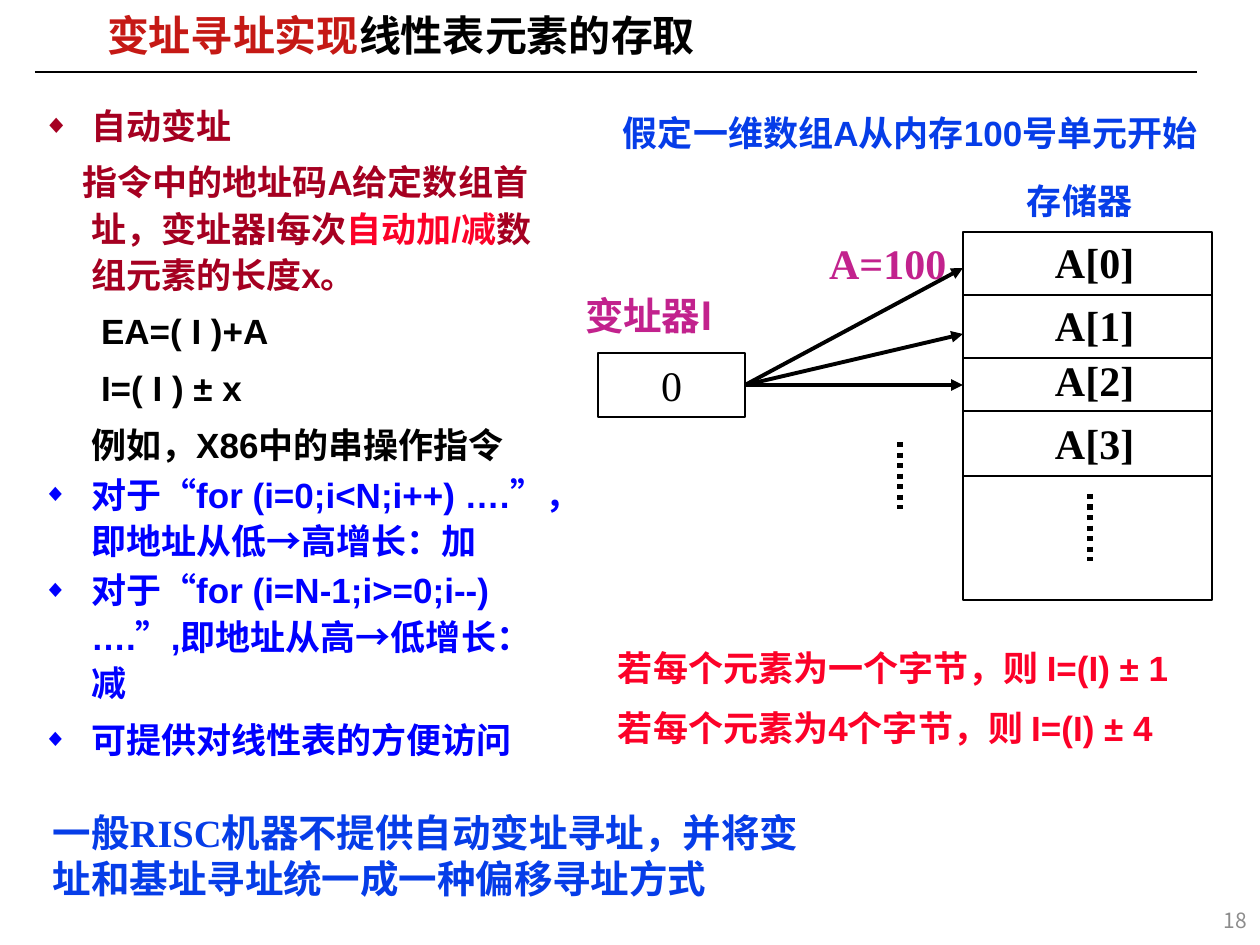
from lxml import etree
from pptx import Presentation
from pptx import util as u
from pptx.dml.color import RGBColor
from pptx.enum import dml, shapes, text
from pptx.oxml.ns import qn

SCALE = 914400 / 126
HUES = {
    "black": "000000", "white": "FFFFFF", "brick": "C51915", "wine": "A50021",
    "red": "FC0128", "blue": "0000FF", "azure": "063DE8", "pink": "C2228D",
    "gray": "8C8C8C",
}
SANS, SERIF, HAN = "Arial", "Times New Roman", "Noto Sans CJK SC"
SLIM, WIDE = (9, 4), (13, 6)


def px(n):
    return u.Emu(round(n * SCALE))


def hue(name):
    return RGBColor.from_string(HUES[name])


def sub(node, tag, **attrs):
    return etree.SubElement(node, qn(tag), attrs)


def style(par, size, face, color, bold=True):
    font = par.font
    font.size, font.name, font.bold = u.Pt(size), face, bold
    font.color.rgb = hue(color)
    sub(par._p.pPr.find(qn("a:defRPr")), "a:ea", typeface=HAN)


def add_run(par, words, color=None, face=None):
    run = par.add_run()
    run.text = words
    if color:
        run.font.color.rgb = hue(color)
    if face:
        run.font.name = face


def set_frame(shape, pad, anchor=text.MSO_ANCHOR.TOP):
    frame = shape.text_frame
    frame.word_wrap = True
    frame.auto_size = text.MSO_AUTO_SIZE.NONE
    frame.vertical_anchor = anchor
    frame.margin_left = frame.margin_right = px(pad[0])
    frame.margin_top = frame.margin_bottom = px(pad[1])
    return frame


def place(shape, x, y, w, h):
    shape.left, shape.top, shape.width, shape.height = map(px, (x, y, w, h))


def add_text(slide, box, lines, size, face, color, pad=WIDE, bold=True,
             anchor=text.MSO_ANCHOR.TOP, align=text.PP_ALIGN.LEFT):
    frame = set_frame(slide.shapes.add_textbox(*map(px, box)), pad, anchor)
    for i, words in enumerate(lines):
        par = frame.add_paragraph() if i else frame.paragraphs[0]
        par.alignment = align
        if i:
            par.space_before = u.Pt(size / 2)
        add_run(par, words)
        style(par, size, face, color, bold)
    return frame


def add_line(slide, start, end, width, arrow=False, dots=False):
    line = slide.shapes.add_connector(
        shapes.MSO_CONNECTOR.STRAIGHT, *map(px, start + end))
    line.line.color.rgb = hue("black")
    line.line.width = u.Pt(width)
    if dots:
        line.line.dash_style = dml.MSO_LINE.ROUND_DOT
    if arrow:
        sub(line.line._get_or_add_ln(), "a:tailEnd", type="triangle")
    sub(line._element.spPr, "a:effectLst")
    return line


def add_rect(slide, box, fill=None):
    rect = slide.shapes.add_shape(shapes.MSO_SHAPE.RECTANGLE, *map(px, box))
    rect.shadow.inherit = False
    if fill:
        rect.fill.solid()
        rect.fill.fore_color.rgb = hue(fill)
    else:
        rect.fill.background()
    rect.line.color.rgb = hue("black")
    rect.line.width = u.Pt(0.75)
    return rect


def add_title(slide):
    title = slide.shapes.title
    place(title, 98, 13, 781, 50)
    par = set_frame(title, SLIM, text.MSO_ANCHOR.MIDDLE).paragraphs[0]
    par.alignment = text.PP_ALIGN.LEFT
    par.line_spacing = 0.87
    add_run(par, "变址寻址实现", "brick")
    add_run(par, "线性表元素的存取")
    style(par, 24, SANS, "black")


def add_body(slide):
    body = slide.placeholders[1]
    place(body, 30, 94, 543, 781)
    frame = set_frame(body, WIDE)
    items = [
        ("wine", 75, -48, 6, ["自动变址"]),
        ("wine", 0, -9, 6, ["指令中的地址码A给定数组首址，变址器I每次",
                            "自动加/减", "数组元素的长度x。"]),
        ("black", 0, 10, 6, ["EA=( I )+A"]),
        ("black", 0, 10, 6, ["I=( I ) ± x"]),
        ("black", 0, 0, 6, ["例如，X86中的串操作指令"]),
        ("blue", 70, -48, 2, ["对于“for (i=0;i<N;i++) ….”，即地址从低→高增长：加"]),
        ("blue", 70, -48, 2, ["对于“for (i=N-1;i>=0;i--) ….”,即地址从高→低增长：减"]),
        ("blue", 70, -48, 6, ["可提供对线性表的方便访问"]),
    ]
    for i, (color, mark, indent, gap, parts) in enumerate(items):
        par = frame.add_paragraph() if i else frame.paragraphs[0]
        par.line_spacing = 1.1
        par.space_before = u.Pt(gap if i else 0)
        props = par._p.get_or_add_pPr()
        props.set("marL", str(px(48)))
        props.set("indent", str(px(indent)))
        if mark:
            sub(props, "a:buSzPct", val=str(mark * 1000))
            sub(props, "a:buChar", char="◆")
        else:
            sub(props, "a:buNone")
        for j, words in enumerate(parts):
            add_run(par, words, "red" if j == 1 else None)
        style(par, 20, SANS, color)


def add_index(slide):
    add_text(slide, (572, 286, 173, 59), ["变址器I"], 22, HAN, "pink")
    add_text(slide, (816, 232, 146, 63), ["A=100"], 24, SERIF, "pink")
    rect = add_rect(slide, (598, 353, 147, 64), "white")
    par = set_frame(rect, WIDE, text.MSO_ANCHOR.MIDDLE).paragraphs[0]
    par.alignment = text.PP_ALIGN.CENTER
    add_run(par, "0")
    style(par, 24, SERIF, "black", False)
    for y in (334, 268, 385):
        line = add_line(slide, (745, 385), (963, y), 2.25, arrow=True)
        line.begin_connect(rect, 3)
    add_line(slide, (900, 442), (900, 509), 3, dots=True)


def add_store(slide):
    add_text(slide, (1018, 176, 198, 49), ["存储器"], 20, SANS, "azure", SLIM)
    add_rect(slide, (963, 232, 249, 368))
    for y in (295, 358, 411, 476):
        add_line(slide, (963, y), (1212, y), 0.75)
    for i, y in enumerate((231, 294, 349, 412)):
        add_text(slide, (1042, y, 150, 63), [f"A[{i}]"], 24, SERIF, "black")
    add_line(slide, (1090, 494), (1090, 561), 3, dots=True)


def add_notes(slide):
    add_text(slide, (614, 108, 614, 49), ["假定一维数组A从内存100号单元开始"],
             20, SANS, "azure", SLIM)
    add_text(slide, (609, 643, 624, 112),
             ["若每个元素为一个字节，则 I=(I) ± 1",
              "若每个元素为4个字节，则 I=(I) ± 4"], 20, SANS, "red", SLIM)
    frame = add_text(slide, (44, 805, 772, 101), ["一般"], 22, HAN, "azure", SLIM)
    add_run(frame.paragraphs[0],
            "RISC机器不提供自动变址寻址，并将变址和基址寻址统一成一种偏移寻址方式",
            face=SERIF)
    add_text(slide, (977, 895, 283, 50), ["18"], 12, HAN, "gray", bold=False,
             anchor=text.MSO_ANCHOR.MIDDLE, align=text.PP_ALIGN.RIGHT)


def main():
    deck = Presentation()
    deck.slide_width, deck.slide_height = px(1260), px(945)
    slide = deck.slides.add_slide(deck.slide_layouts[1])
    add_line(slide, (35, 72), (1197, 72), 1)
    add_title(slide)
    add_body(slide)
    add_index(slide)
    add_store(slide)
    add_notes(slide)
    deck.save("out.pptx")


if __name__ == "__main__":
    main()
